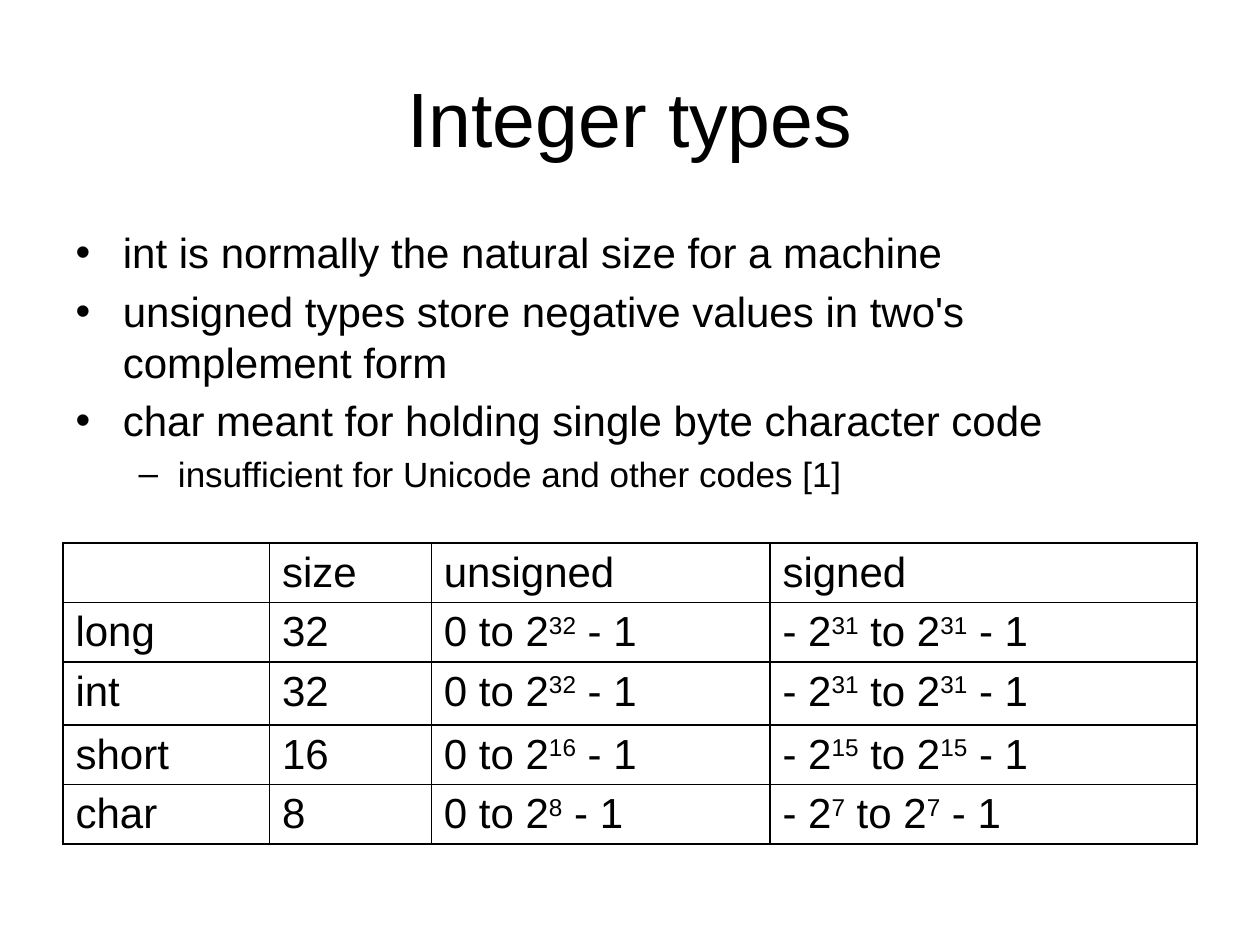
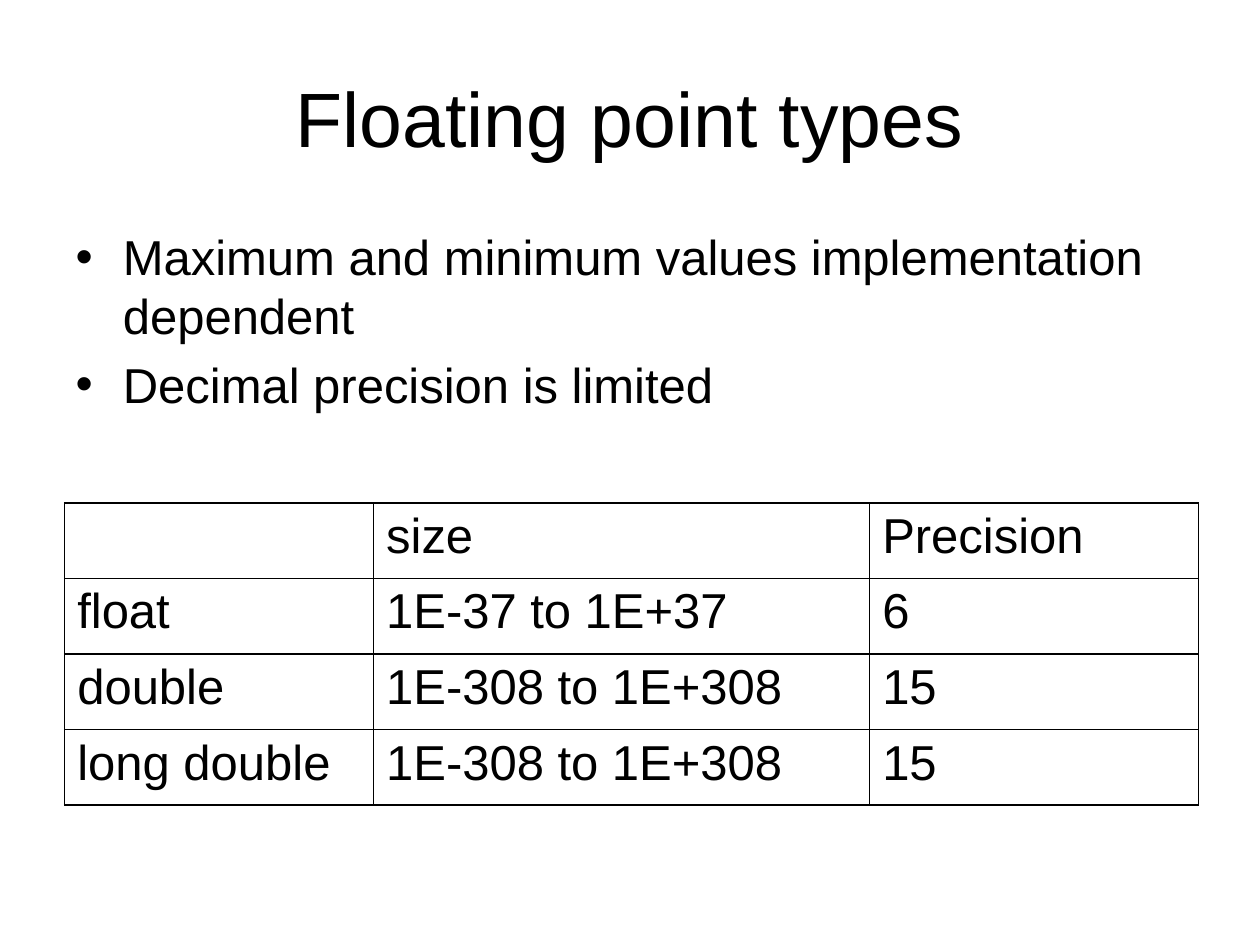
from lxml.etree import SubElement
from pptx import Presentation
from pptx.dml.color import RGBColor
from pptx.enum.text import MSO_ANCHOR, MSO_AUTO_SIZE, PP_ALIGN
from pptx.oxml.ns import qn
from pptx.util import Pt

BLACK = "000000"
WHITE = "FFFFFF"


def color(hex_string):
    """Turn a hex string into a colour."""
    return RGBColor.from_string(hex_string)


class Lecture:
    """Holds the deck, its style and the current slide."""

    font = "Arial"
    title_size = 44
    left, width = 36, 648
    title_top, title_height = 21.6, 90
    body_top, body_height = 126, 172

    def __init__(self):
        """Start a 10 by 7.5 inch deck."""
        self.deck = Presentation()
        self.deck.slide_width, self.deck.slide_height = Pt(720), Pt(540)

    def place(self, shape, top, height):
        """Move a placeholder into the shared text column."""
        shape.left, shape.top = Pt(self.left), Pt(top)
        shape.width, shape.height = Pt(self.width), Pt(height)
        shape.text_frame.word_wrap = True
        shape.text_frame.auto_size = MSO_AUTO_SIZE.NONE

    def add_text(self, para, text, size):
        """Add runs to a paragraph; text between carets is superscript."""
        for index, part in enumerate(text.split("^")):
            if not part:
                continue
            span = para.add_run()
            span.text = part
            span.font.name = self.font
            span.font.size = Pt(size)
            span.font.color.rgb = color(BLACK)
            if index % 2:
                span.font._element.set("baseline", "30000")

    def add_page(self, title):
        """Add a page with a centred title."""
        self.page = self.deck.slides.add_slide(self.deck.slide_layouts[1])
        fill = self.page.background.fill
        fill.solid()
        fill.fore_color.rgb = color(WHITE)
        box = self.page.shapes.title
        self.place(box, self.title_top, self.title_height)
        box.text_frame.vertical_anchor = MSO_ANCHOR.MIDDLE
        para = box.text_frame.paragraphs[0]
        para.alignment = PP_ALIGN.CENTER
        self.add_text(para, title, self.title_size)

    def add_list(self, items):
        """Fill the body with (level, size, text) items."""
        box = self.page.placeholders[1]
        self.place(box, self.body_top, self.body_height)
        frame = box.text_frame
        for index, (level, size, text) in enumerate(items):
            para = frame.add_paragraph() if index else frame.paragraphs[0]
            para.level = level
            self.add_text(para, text, size)

    def add_borders(self, cell):
        """Draw a thin black line on each side of a cell."""
        properties = cell._tc.get_or_add_tcPr()
        for position, side in enumerate(("lnL", "lnR", "lnT", "lnB")):
            line = SubElement(properties, qn(f"a:{side}"), w=str(Pt(1)))
            fill = SubElement(line, qn("a:solidFill"))
            SubElement(fill, qn("a:srgbClr"), val=BLACK)
            properties.insert(position, line)

    def add_table(self, left, top, widths, heights, rows, size):
        """Add a plain ruled table."""
        table = self.page.shapes.add_table(
            len(rows), len(widths), Pt(left), Pt(top),
            Pt(sum(widths)), Pt(sum(heights))).table
        table.first_row = table.horz_banding = False
        for column, width in zip(table.columns, widths):
            column.width = Pt(width)
        for row, height, texts in zip(table.rows, heights, rows):
            row.height = Pt(height)
            for cell, text in zip(row.cells, texts):
                cell.fill.background()
                self.add_borders(cell)
                self.add_text(cell.text_frame.paragraphs[0], text, size)


def integer_row(name, bits):
    """Give the table row of an integer type with this many bits."""
    power = f"2^{bits - 1}^"
    return name, str(bits), f"0 to 2^{bits}^ - 1", f"- {power} to {power} - 1"


lecture = Lecture()

lecture.add_page("Integer types")
lecture.add_list([
    (0, 24, "int is normally the natural size for a machine"),
    (0, 24, "unsigned types store negative values in two's complement form"),
    (0, 24, "char meant for holding single byte character code"),
    (1, 20, "insufficient for Unicode and other codes [1]"),
])
integer_types = [("long", 32), ("int", 32), ("short", 16), ("char", 8)]
lecture.add_table(
    36, 310.3, [118, 92.5, 193.5, 244], [34, 34, 36, 34, 34],
    [("", "size", "unsigned", "signed")]
    + [integer_row(name, bits) for name, bits in integer_types], 24)

lecture.add_page("Floating point types")
lecture.add_list([
    (0, 28, "Maximum and minimum values implementation dependent"),
    (0, 28, "Decimal precision is limited"),
])
lecture.add_table(
    37, 287.3, [176.5, 283.5, 188], [43.2] * 4,
    [("", "size", "Precision"),
     ("float", "1E-37 to 1E+37", "6"),
     ("double", "1E-308 to 1E+308", "15"),
     ("long double", "1E-308 to 1E+308", "15")], 28)

lecture.deck.save("out.pptx")
